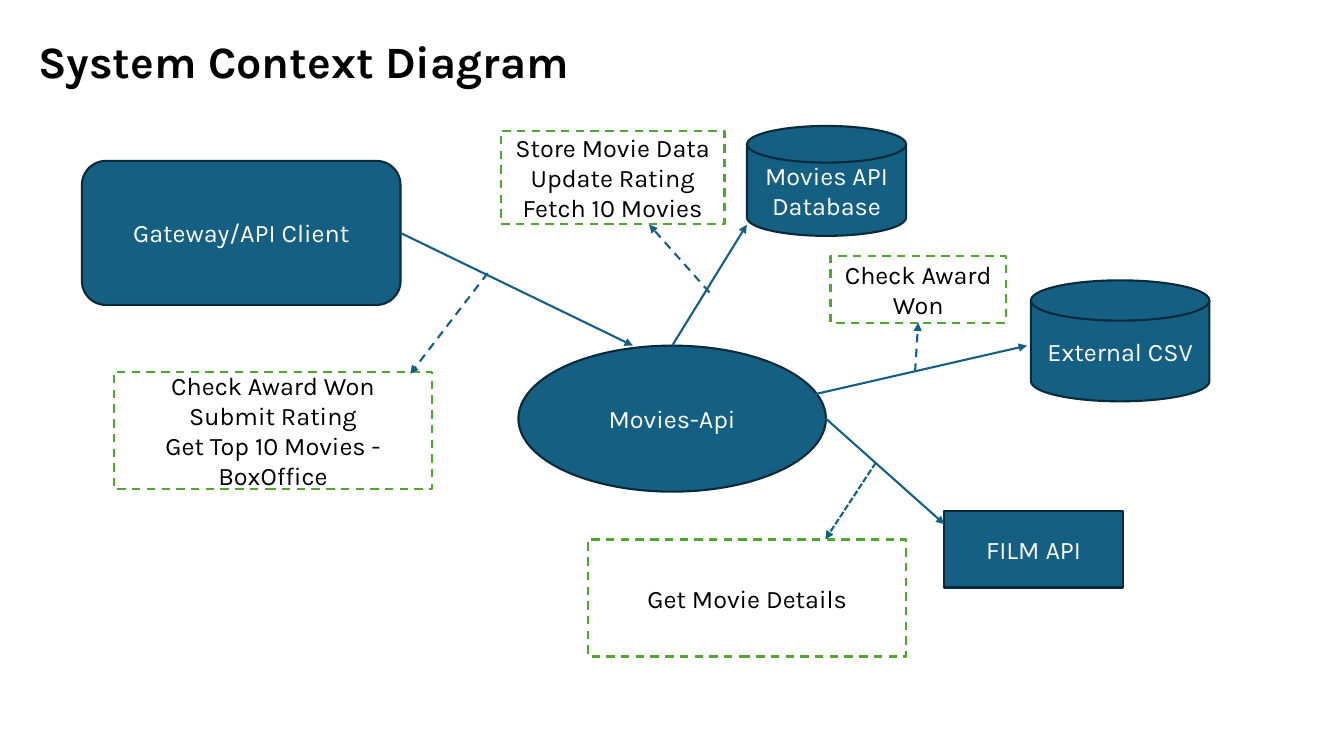
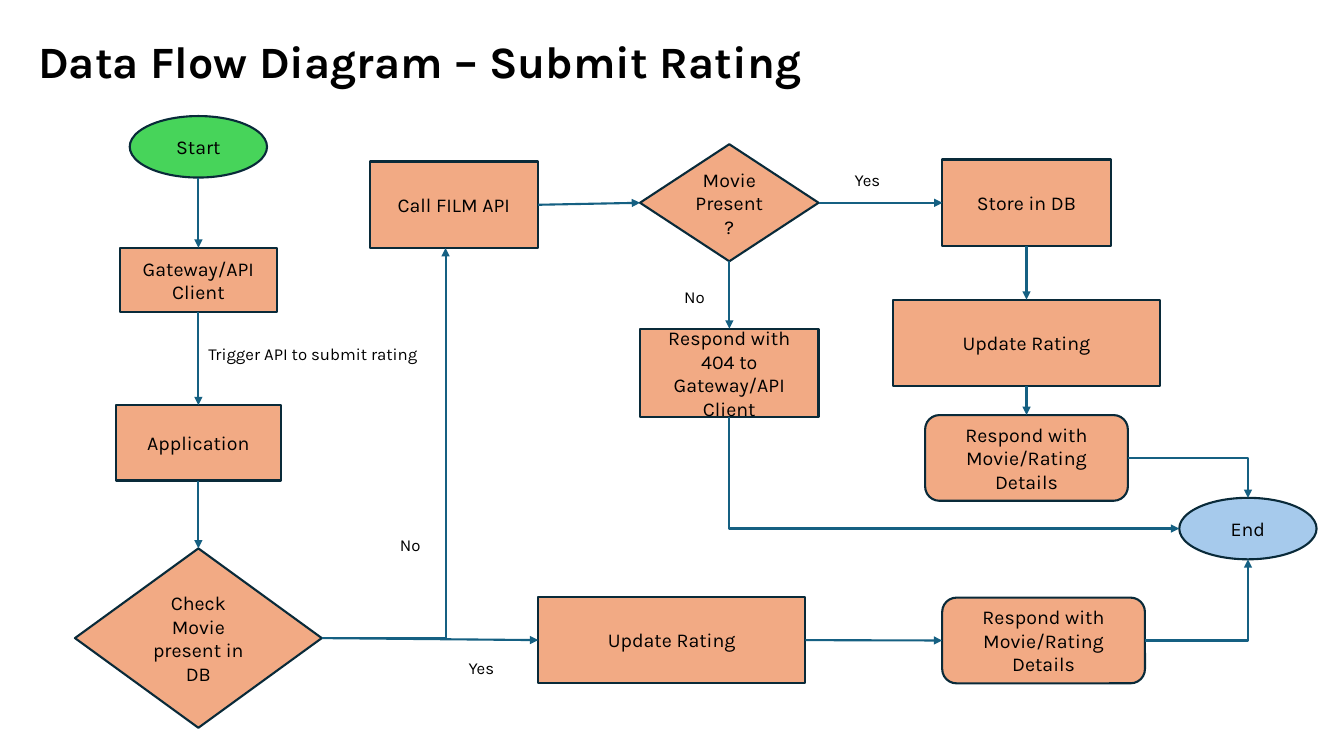
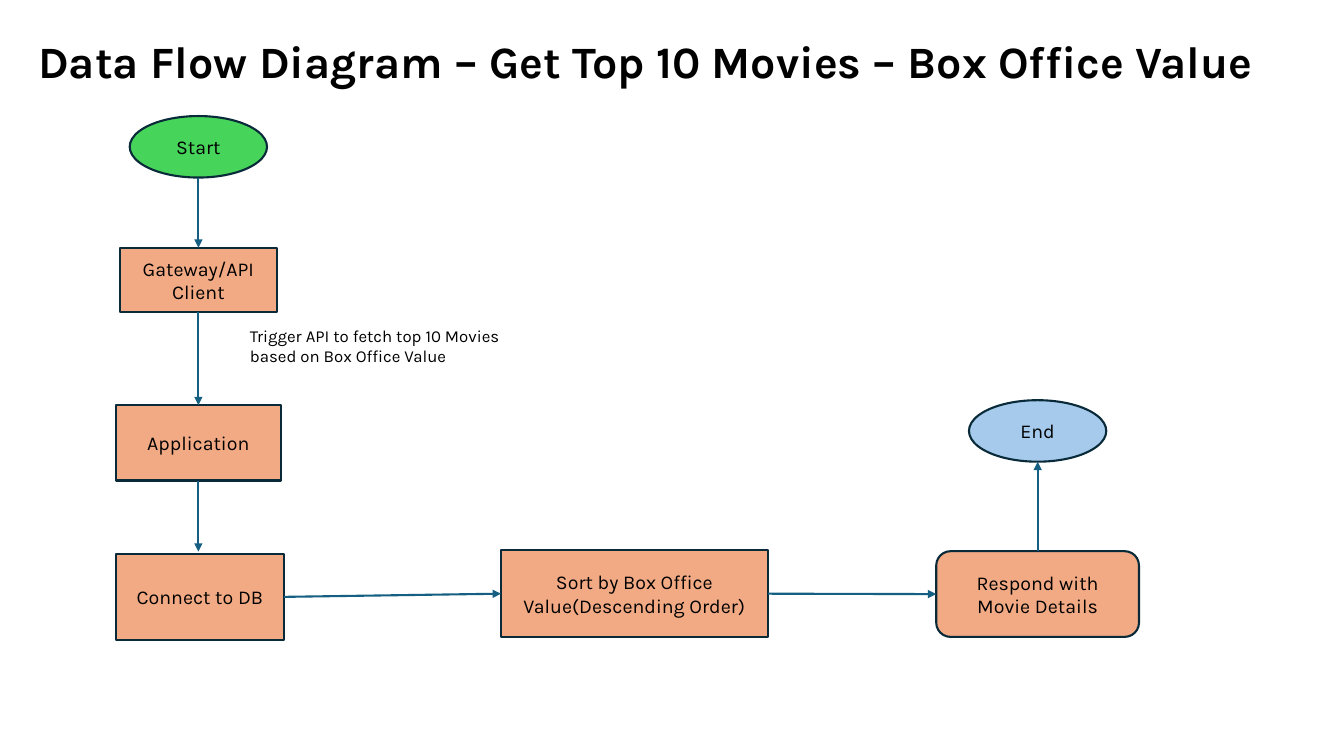
from dataclasses import dataclass

from lxml import etree
from pptx import Presentation
from pptx.dml.color import RGBColor
from pptx.enum import dml, shapes, text
from pptx.oxml.ns import qn
from pptx.util import Cm, Pt


@dataclass(frozen=True)
class Theme:
    font: str = "Karla"
    ink: str = "000000"
    paper: str = "FFFFFF"
    blue: str = "156082"
    outline: str = "092A39"
    green: str = "4EA72E"
    orange: str = "F2AA84"
    start: str = "47D45A"
    end: str = "A6CAEC"
    title_size: int = 32
    context_size: int = 18
    flow_size: int = 14
    label_size: int = 12
    line_width: float = 1.5


THEME = Theme()
SHAPE = shapes.MSO_SHAPE
DASH = dml.MSO_LINE.DASH
FINE_DASH = dml.MSO_LINE.SQUARE_DOT
TOP, LEFT, BOTTOM, RIGHT = range(4)
ACROSS, DOWN = "across", "down"  # first leg of a bent arrow
JOINABLE = (SHAPE.RECTANGLE, SHAPE.ROUNDED_RECTANGLE, SHAPE.DIAMOND)

# style: outline shape, fill, line colour, dash, text colour, text size
STYLES = {
    name: (shape, fill, line, dash, ink, size)
    for names, fill, line, dash, ink, size in [
        ({"system": SHAPE.OVAL, "client": SHAPE.ROUNDED_RECTANGLE,
          "service": SHAPE.RECTANGLE, "store": SHAPE.FLOWCHART_MAGNETIC_DISK},
         THEME.blue, THEME.outline, None, THEME.paper, THEME.context_size),
        ({"note": SHAPE.RECTANGLE},
         THEME.paper, THEME.green, DASH, THEME.ink, THEME.context_size),
        ({"step": SHAPE.RECTANGLE, "reply": SHAPE.ROUNDED_RECTANGLE, "choice": SHAPE.DIAMOND},
         THEME.orange, THEME.outline, None, THEME.ink, THEME.flow_size),
        ({"start": SHAPE.OVAL}, THEME.start, THEME.outline, None, THEME.ink, THEME.flow_size),
        ({"end": SHAPE.OVAL}, THEME.end, THEME.outline, None, THEME.ink, THEME.flow_size),
    ]
    for name, shape in names.items()
}

# Sizes and places are in centimetres; a node is placed by its centre.
NOTE, STEP, WIDE = (8.03, 2.95), (4.24, 2.18), (6.73, 2.18)
REPLY, TERMINAL = (5.11, 2.16), (3.46, 1.55)
COLUMN = 5  # centre of the opening column of both flows
CLIENT = "Gateway/API Client"

OPENING_NODES = {
    "start": ("start", "Start", (COLUMN, 3.7), TERMINAL),
    "client": ("step", CLIENT, (COLUMN, 7.06), (3.96, 1.63)),
    "application": ("step", "Application", (COLUMN, 11.16), (4.17, 1.9)),
}
OPENING_ARROWS = [
    (("start", BOTTOM), ("client", TOP)),
    (("client", BOTTOM), ("application", TOP)),
]

# node: style, text, centre, size
# arrow: from, to, optional dash or first leg; an end is (node, side) or (x, y)
# label: text, left, top, width, height
PAGES = [
    {
        "title": "System Context Diagram",
        "nodes": {
            "api": ("system", "Movies-Api", (16.94, 10.55), (7.75, 3.68)),
            "client": ("client", CLIENT, (6.08, 5.87), (8.03, 3.63)),
            "film": ("service", "FILM API", (26.05, 13.84), (4.5, 1.93)),
            "database": ("store", "Movies API Database", (20.83, 4.56), (4.01, 2.77)),
            "csv": ("store", "External CSV", (28.23, 8.59), (4.5, 3.05)),
            "requests": ("note", "Check Award Won\nSubmit Rating\nGet Top 10 Movies - BoxOffice",
                         (6.88, 10.85), NOTE),
            "details": ("note", "Get Movie Details", (18.83, 15.07), NOTE),
            "award": ("note", "Check Award Won", (23.14, 7.29), (4.42, 1.68)),
            "storage": ("note", "Store Movie Data\nUpdate Rating\nFetch 10 Movies",
                        (15.44, 4.47), (5.64, 2.34)),
        },
        "arrows": [
            (("client", RIGHT), (15.95, 8.71)),
            ((12.29, 6.88), (10.34, 9.42), DASH),
            (("api", RIGHT), (23.8, 13.21)),
            ((22.07, 11.66), (20.8, 13.59), FINE_DASH),
            ((20.55, 9.93), (25.88, 8.71)),
            ((23.06, 9.37), ("award", BOTTOM), DASH),
            (("api", TOP), (18.82, 5.66)),
            ((17.88, 7.37), (16.36, 5.66), DASH),
        ],
        "labels": [],
    },
    {
        "title": "Data Flow Diagram – Submit Rating",
        "nodes": {
            **OPENING_NODES,
            "check": ("choice", "Check Movie present in DB", (COLUMN, 16.08), (6.22, 4.52)),
            "update": ("step", "Update Rating", (16.93, 16.13), WIDE),
            "reply": ("reply", "Respond with Movie/Rating Details", (26.3, 16.14), REPLY),
            "end": ("end", "End", (31.45, 13.32), TERMINAL),
            "call": ("step", "Call FILM API", (11.44, 5.16), STEP),
            "present": ("choice", "Movie Present?", (18.38, 5.11), (4.5, 2.95)),
            "missing": ("step", f"Respond with 404 to {CLIENT}", (18.38, 9.4), (4.5, 2.24)),
            "save": ("step", "Store in DB", (25.87, 5.11), STEP),
            "update new": ("step", "Update Rating", (25.87, 8.64), WIDE),
            "reply new": ("reply", "Respond with Movie/Rating Details", (25.87, 11.54), REPLY),
        },
        "arrows": OPENING_ARROWS + [
            (("application", BOTTOM), ("check", TOP)),
            (("check", RIGHT), ("update", LEFT)),
            (("update", RIGHT), ("reply", LEFT)),
            (("check", RIGHT), (11.23, 6.25), ACROSS),
            (("call", RIGHT), ("present", LEFT)),
            (("present", BOTTOM), ("missing", TOP)),
            (("present", RIGHT), ("save", LEFT)),
            (("save", BOTTOM), ("update new", TOP)),
            (("update new", BOTTOM), ("reply new", TOP)),
            (("missing", BOTTOM), ("end", LEFT), DOWN),
            (("reply", RIGHT), ("end", BOTTOM), ACROSS),
            (("reply new", RIGHT), ("end", TOP), ACROSS),
        ],
        "labels": [
            ("Trigger API to submit rating", 5, 8.53, 6.22, 0.76),
            ("Yes", 11.56, 16.46, 2.46, 0.76),
            ("No", 9.83, 13.34, 2.46, 0.76),
            ("No", 16.99, 7.09, 2.46, 0.76),
            ("Yes", 21.29, 4.14, 2.46, 0.76),
        ],
    },
    {
        "title": "Data Flow Diagram – Get Top 10 Movies – Box Office Value",
        "nodes": {
            **OPENING_NODES,
            "connect": ("step", "Connect to DB", (5.04, 15.04), STEP),
            "sort": ("step", "Sort by Box Office Value(Descending Order)", (15.99, 14.96), WIDE),
            "reply": ("reply", "Respond with Movie Details", (26.15, 14.97), REPLY),
            "end": ("end", "End", (26.15, 10.86), TERMINAL),
        },
        "arrows": OPENING_ARROWS + [
            (("application", BOTTOM), (COLUMN, 13.9)),
            (("connect", RIGHT), ("sort", LEFT)),
            (("sort", RIGHT), ("reply", LEFT)),
            (("reply", TOP), ("end", BOTTOM)),
        ],
        "labels": [
            ("Trigger API to fetch top 10 Movies based on Box Office Value", 6.05, 8.08, 7.21, 1.27),
        ],
    },
]


def write(frame, words, size, color, align=text.PP_ALIGN.LEFT, anchor=text.MSO_ANCHOR.TOP, bold=False):
    frame.text = words
    frame.word_wrap = True
    frame.vertical_anchor = anchor
    for para in frame.paragraphs:
        para.alignment = align
        para.font.name = THEME.font
        para.font.size = Pt(size)
        para.font.bold = bold
        para.font.color.rgb = RGBColor.from_string(color)


def set_line(line, color, dash=None):
    line.color.rgb = RGBColor.from_string(color)
    line.width = Pt(THEME.line_width)
    if dash:
        line.dash_style = dash


def add_title(page, words):
    title = page.shapes.title
    title.left, title.top, title.width, title.height = Cm(0.71), Cm(0.71), Cm(31.83), Cm(1.62)
    write(title.text_frame, words, THEME.title_size, THEME.ink, bold=True)
    title.text_frame.auto_size = text.MSO_AUTO_SIZE.NONE


def add_node(page, style, words, centre, size):
    outline, fill, line, dash, ink, text_size = STYLES[style]
    (x, y), (width, height) = centre, size
    node = page.shapes.add_shape(outline, Cm(x - width / 2), Cm(y - height / 2), Cm(width), Cm(height))
    node.shadow.inherit = False
    node.fill.solid()
    node.fill.fore_color.rgb = RGBColor.from_string(fill)
    set_line(node.line, line, dash)
    write(node.text_frame, words, text_size, ink, text.PP_ALIGN.CENTER, text.MSO_ANCHOR.MIDDLE)
    return node


def locate(end, nodes):
    """Return the point of an arrow end, and its node if the end can be joined to it."""
    if end[0] not in nodes:
        return (Cm(end[0]), Cm(end[1])), None
    node, side = nodes[end[0]], end[1]
    across, down = {TOP: (0.5, 0), LEFT: (0, 0.5), BOTTOM: (0.5, 1), RIGHT: (1, 0.5)}[side]
    point = int(node.left + across * node.width), int(node.top + down * node.height)
    return point, node if node.auto_shape_type in JOINABLE else None


def add_arrow(page, nodes, start, end, option=None):
    bent = option in (ACROSS, DOWN)
    # A bent connector leaves sideways, so a downward one is drawn from its far end.
    first, last, tip = (end, start, "headEnd") if option == DOWN else (start, end, "tailEnd")
    (begin, begin_node), (finish, finish_node) = locate(first, nodes), locate(last, nodes)
    kind = shapes.MSO_CONNECTOR.ELBOW if bent else shapes.MSO_CONNECTOR.STRAIGHT
    arrow = page.shapes.add_connector(kind, *begin, *finish)
    properties = arrow._element.spPr
    if bent:
        properties.find(qn("a:prstGeom")).set("prst", "bentConnector2")
    else:
        if begin_node is not None:
            arrow.begin_connect(begin_node, first[1])
        if finish_node is not None:
            arrow.end_connect(finish_node, last[1])
    set_line(arrow.line, THEME.blue, None if bent else option)
    etree.SubElement(properties.find(qn("a:ln")), qn(f"a:{tip}"), type="triangle")
    etree.SubElement(properties, qn("a:effectLst"))


def add_label(page, words, *place):
    box = page.shapes.add_textbox(*map(Cm, place))
    write(box.text_frame, words, THEME.label_size, THEME.ink)


def main():
    deck = Presentation()
    deck.slide_width, deck.slide_height = Cm(33.87), Cm(19.05)
    title_only = deck.slide_layouts[5]
    for content in PAGES:
        page = deck.slides.add_slide(title_only)
        add_title(page, content["title"])
        nodes = {name: add_node(page, *node) for name, node in content["nodes"].items()}
        for arrow in content["arrows"]:
            add_arrow(page, nodes, *arrow)
        for label in content["labels"]:
            add_label(page, *label)
    deck.save("out.pptx")


if __name__ == "__main__":
    main()
